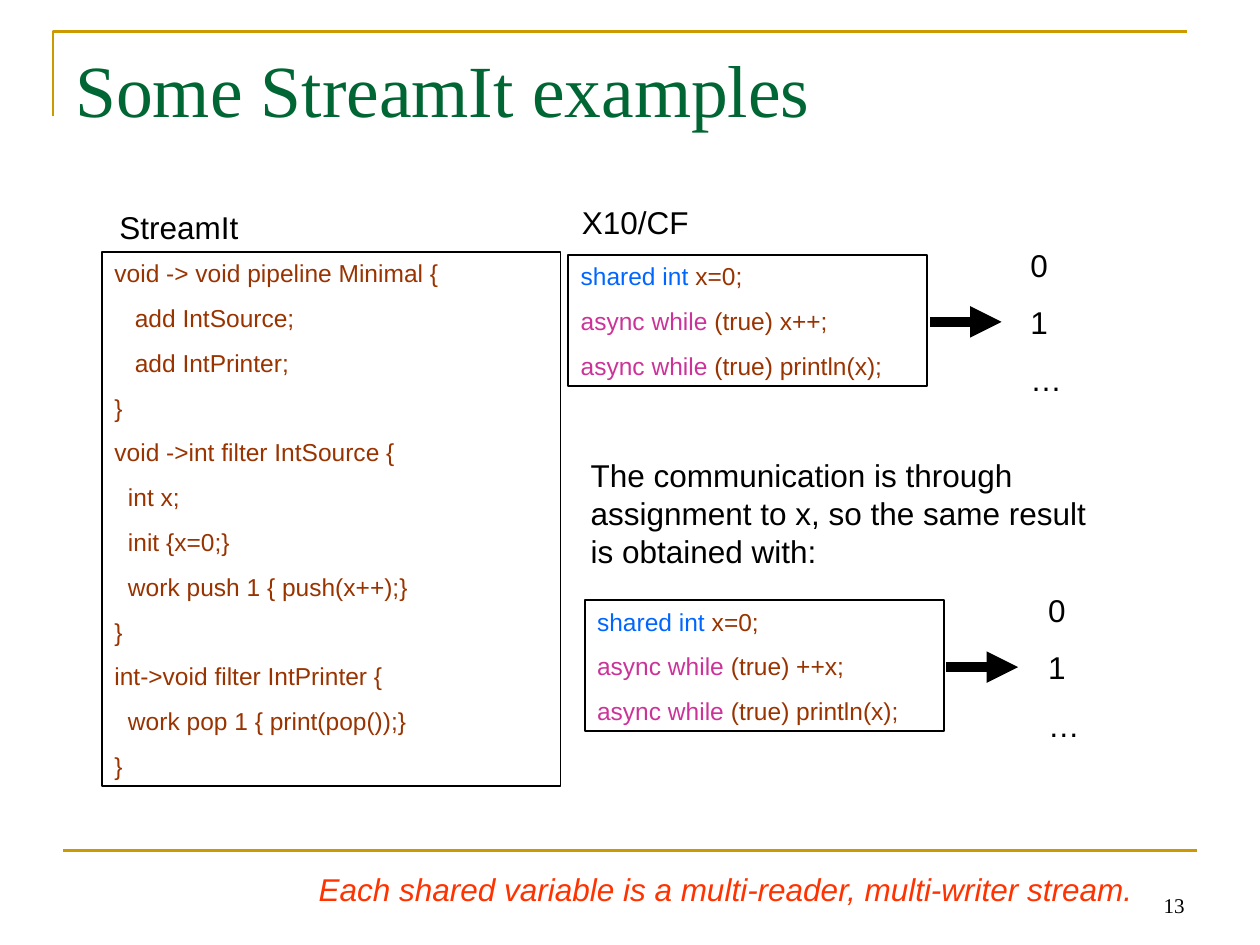
from pptx import Presentation, util as u
from pptx.dml.color import RGBColor
from pptx.enum import shapes, text
from pptx.oxml.ns import qn
from lxml import etree

CELL = u.Inches(0.1)
COLUMNS, ROWS = 100, 75
COLORS = {
    "gold": "CC9900", "title": "006633", "code": "993300", "type": "0066FF",
    "keyword": "CC3399", "black": "000000", "remark": "FF3300",
}
STREAMIT_CODE = """void -> void pipeline Minimal {
   add IntSource;
   add IntPrinter;
}
void ->int filter IntSource {
  int x;
  init {x=0;}
  work push 1 { push(x++);}
}
int->void filter IntPrinter {
  work pop 1 { print(pop());}
}"""
X10_CODE = """shared int x=0;
async while (true) {step};
async while (true) println(x);"""
HIGHLIGHTS = {"shared int": "type", "async while": "keyword"}


def grid(*cells):
    """Convert grid columns and rows to slide lengths."""
    return [round(cell * CELL) for cell in cells]


def color(name):
    """Return a named colour."""
    return RGBColor.from_string(COLORS[name])


def style(font, size, name, face="Arial"):
    """Set the size, colour and typeface of a font."""
    font.size, font.name = u.Pt(size), face
    font.color.rgb = color(name)


def fill_text(frame, content, size, name, gap, face="Arial"):
    """Write content as left-aligned, spaced paragraphs."""
    frame.word_wrap = True
    frame.vertical_anchor = text.MSO_ANCHOR.TOP
    frame.text = content
    for index, paragraph in enumerate(frame.paragraphs):
        paragraph.alignment = text.PP_ALIGN.LEFT
        paragraph.space_before = u.Pt(gap if index else 0)
        for run in paragraph.runs:
            style(run.font, size, name, face)


def add_text(slide, box, content, size=18, name="black", face="Arial"):
    """Add a text box and return its frame."""
    frame = slide.shapes.add_textbox(*grid(*box)).text_frame
    fill_text(frame, content, size, name, 11.2, face)
    return frame


def add_line(slide, ends, name, width):
    """Add a straight line without shadow and return it."""
    line = slide.shapes.add_connector(shapes.MSO_CONNECTOR.STRAIGHT, *grid(*ends))
    line.line.color.rgb = color(name)
    line.line.width = u.Pt(width)
    etree.SubElement(line._element.spPr, qn("a:effectLst"))
    return line


def add_arrow(slide, ends):
    """Add a thick arrow with a triangular head."""
    arrow = add_line(slide, ends, "black", 6)
    etree.SubElement(arrow.line._get_or_add_ln(), qn("a:tailEnd"), type="triangle")


def add_code(slide, box, code):
    """Add an outlined listing with highlighted keywords."""
    shape = slide.shapes.add_shape(shapes.MSO_SHAPE.RECTANGLE, *grid(*box))
    shape.shadow.inherit = False
    shape.fill.background()
    shape.line.color.rgb = color("black")
    shape.line.width = u.Pt(1)
    fill_text(shape.text_frame, code, 14, "code", 8.8)
    for paragraph in shape.text_frame.paragraphs:
        for keyword, name in HIGHLIGHTS.items():
            if paragraph.text.startswith(keyword):
                rest = paragraph.text[len(keyword):]
                paragraph.runs[0].text = keyword
                paragraph.runs[0].font.color.rgb = color(name)
                run = paragraph.add_run()
                run.text = rest
                style(run.font, 14, "code")


def add_frame(slide, box):
    """Add the gold corner and the footer rule."""
    left, top, width, height = box
    corner_left, corner_top, corner_height = left - 0.8, 2.5, 6.7
    builder = slide.shapes.build_freeform(
        *grid(corner_left, corner_top + corner_height), scale=1.0)
    builder.add_line_segments(
        [grid(corner_left, corner_top), grid(corner_left + width, corner_top)],
        close=False)
    corner = builder.convert_to_shape()
    corner.shadow.inherit = False
    corner.fill.background()
    corner.line.color.rgb = color("gold")
    corner.line.width = u.Pt(1.5)
    bottom = top + height
    add_line(slide, (left, bottom, left + width, bottom), "gold", 1.5)


def add_streamit(slide, box):
    """Add the StreamIt heading and its listing."""
    left, top, width, height = box
    add_text(slide, (left + 0.4, top, 14.4, 4), "StreamIt")
    add_code(slide, (left, top + 4, width, height - 4), STREAMIT_CODE)


def add_x10_example(slide, box, step):
    """Add an X10 listing, an arrow and the stream it prints."""
    left, top, width, height = box
    middle = top + height / 2
    add_code(slide, (left, middle - 5.3, 28.5, 10.4), X10_CODE.replace("{step}", step))
    add_arrow(slide, (left + 28.7, middle, left + 34.4, middle))
    add_text(slide, (left + width - 10.6, top, 10.6, height), "0\n1\n…")


def add_footer(slide, box):
    """Add the closing remark and the page number."""
    left, top, width, height = box
    remark = add_text(slide, (left, top + 0.3, 67.2, 4),
                      "Each shared variable is a multi-reader, multi-writer stream.",
                      name="remark")
    remark.paragraphs[0].runs[0].font.italic = True
    number = add_text(slide, (left + width - 23.3, top, 23.3, height),
                      "13", 12, face="Times New Roman")
    number.vertical_anchor = text.MSO_ANCHOR.BOTTOM
    number.paragraphs[0].alignment = text.PP_ALIGN.RIGHT


def main():
    """Build and save the slide."""
    presentation = Presentation()
    presentation.slide_width, presentation.slide_height = grid(COLUMNS, ROWS)
    slide = presentation.slides.add_slide(presentation.slide_layouts[6])
    add_frame(slide, (5, 3, 90, 64.5))
    add_text(slide, (5, 3, 90, 12.5), "Some StreamIt examples", 42, "title",
             "Times New Roman")
    add_streamit(slide, (8.1, 16, 36.4, 46.4))
    add_text(slide, (45.2, 15.6, 14.4, 4), "X10/CF")
    add_x10_example(slide, (45.1, 19, 46.3, 13.1), "x++")
    add_text(slide, (45.9, 35.7, 42.6, 10),
             "The communication is through assignment to x, "
             "so the same result is obtained with:")
    add_x10_example(slide, (46.4, 46.4, 46.4, 13.1), "++x")
    add_footer(slide, (24.3, 68.3, 70.7, 5))
    presentation.save("out.pptx")


if __name__ == "__main__":
    main()
